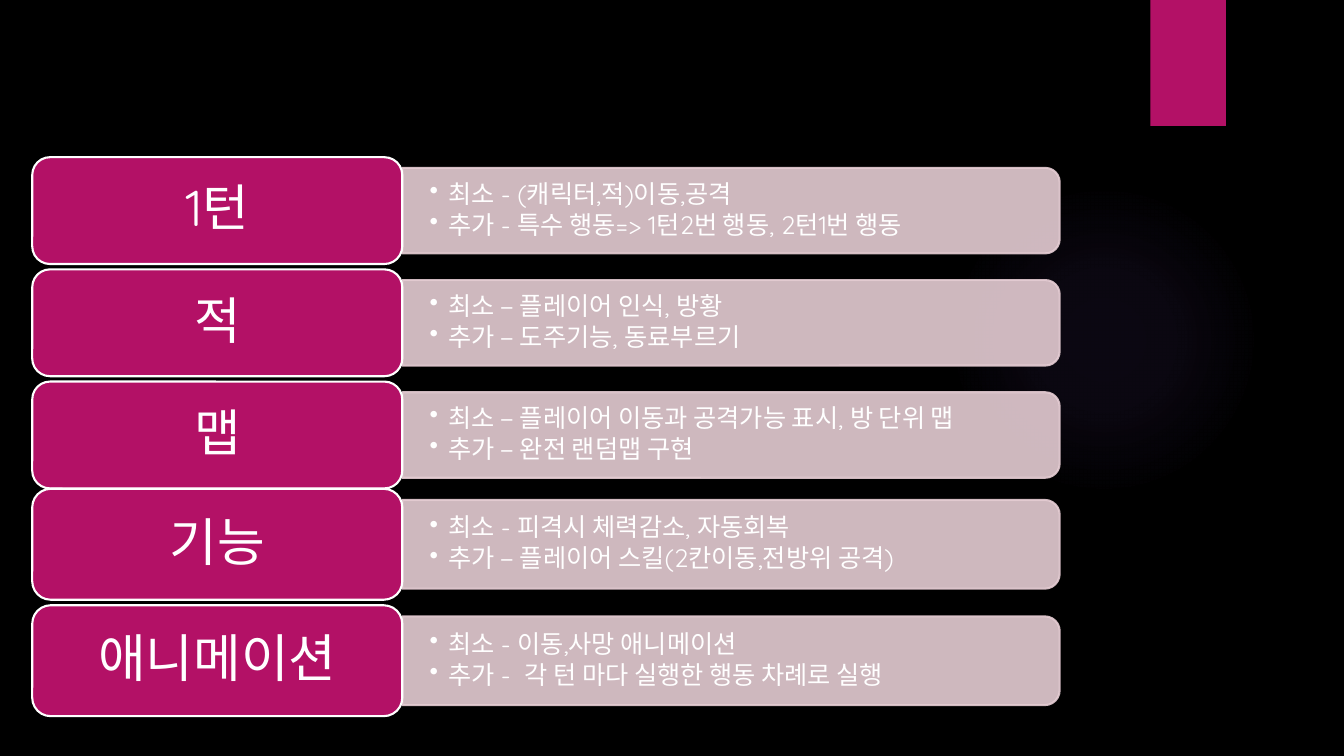
from pptx import Presentation
from pptx.dml.color import RGBColor
from pptx.enum.shapes import MSO_SHAPE as Shape
from pptx.enum.text import MSO_ANCHOR as Anchor, PP_ALIGN as Align
from pptx.oxml import parse_xml
from pptx.oxml.ns import nsdecls, qn
from pptx.util import Inches, Pt
from lxml import etree

# Content: (top, label height, label size, features), a feature being (label, details)
FEATURE_GROUPS = [
    (1.56, 1.06, 36, [
        ("1턴", ["최소 - (캐릭터,적)이동,공격",
                "추가 - 특수 행동=> 1턴2번 행동, 2턴1번 행동"]),
        ("적", ["최소 – 플레이어 인식, 방황",
               "추가 – 도주기능, 동료부르기"]),
        ("맵", ["최소 – 플레이어 이동과 공격가능 표시, 방 단위 맵",
               "추가 – 완전 랜덤맵 구현"]),
    ]),
    (4.85, 1.10, 37, [
        ("기능", ["최소 - 피격시 체력감소, 자동회복",
                "추가 – 플레이어 스킬(2칸이동,전방위 공격)"]),
        ("애니메이션", ["최소 - 이동,사망 애니메이션",
                   "추가 -  각 턴 마다 실행한 행동 차례로 실행"]),
    ]),
]

FONT = "Quicksand"
BLACK = RGBColor(0x00, 0x00, 0x00)
WHITE = RGBColor(0xFF, 0xFF, 0xFF)
MAGENTA = RGBColor(0xB3, 0x11, 0x66)
ROSE = RGBColor(0xE5, 0xCC, 0xD3)
GLOW = RGBColor(0x9B, 0x6B, 0xF2)
GLOW_STOPS = [(0, 7), (36, 6), (69, 0)]  # position %, opacity %

# Layout in inches
LABEL_LEFT, LABEL_WIDTH = 0.32, 3.67
BAR_LEFT, BAR_WIDTH = LABEL_LEFT + LABEL_WIDTH, 6.52
ROW_PITCH = 1.05   # of the label height
BAR_SHARE = 0.8    # of the label height
BULLET_INDENT = 0.19

deck = Presentation()
deck.slide_width, deck.slide_height = Inches(13.33), Inches(7.5)
slide = deck.slides.add_slide(deck.slide_layouts[6])
slide.background.fill.solid()
slide.background.fill.fore_color.rgb = BLACK


def add_block(kind, left, top, width, height, fill, line=None):
    block = slide.shapes.add_shape(
        kind, Inches(left), Inches(top), Inches(width), Inches(height))
    block.shadow.inherit = False
    block.fill.solid()
    block.fill.fore_color.rgb = fill
    if line is None:
        block.line.fill.background()
    else:
        block.line.color.rgb = line
        block.line.width = Pt(1.5)
    return block


def set_insets(frame, side, end):
    frame.word_wrap = True
    frame.vertical_anchor = Anchor.MIDDLE
    frame.margin_left = frame.margin_right = Inches(side)
    frame.margin_top = frame.margin_bottom = Inches(end)


def style_text(paragraph, size):
    paragraph.line_spacing = 0.9
    paragraph.font.name = FONT
    paragraph.font.size = Pt(size)
    paragraph.font.color.rgb = WHITE


def add_bar(top, height):
    # A shape rounded at its top, turned so the round end points right
    middle_x, middle_y = BAR_LEFT + BAR_WIDTH / 2, top + height / 2
    bar = add_block(Shape.ROUND_2_SAME_RECTANGLE, middle_x - height / 2,
                    middle_y - BAR_WIDTH / 2, height, BAR_WIDTH, ROSE, ROSE)
    bar.rotation = 90
    for color in bar._element.spPr.iter(qn("a:srgbClr")):
        etree.SubElement(color, qn("a:alpha"), val="90000")


def add_details(top, height, details):
    box = slide.shapes.add_textbox(Inches(BAR_LEFT), Inches(top),
                                   Inches(BAR_WIDTH - 0.04), Inches(height))
    frame = box.text_frame
    set_insets(frame, 0.27, 0.14)
    for index, detail in enumerate(details):
        paragraph = frame.paragraphs[0] if index == 0 else frame.add_paragraph()
        paragraph.text = detail
        properties = paragraph._p.get_or_add_pPr()
        properties.set("marL", str(Inches(BULLET_INDENT)))
        properties.set("indent", str(-Inches(BULLET_INDENT)))
        etree.SubElement(properties, qn("a:buChar"), char="•")
        paragraph.space_after = Pt(2.7)
        style_text(paragraph, 18)


def add_label(top, height, label, size):
    block = add_block(Shape.ROUNDED_RECTANGLE, LABEL_LEFT, top,
                      LABEL_WIDTH, height, MAGENTA, WHITE)
    set_insets(block.text_frame, 0.15, 0.07)
    paragraph = block.text_frame.paragraphs[0]
    paragraph.text = label
    paragraph.alignment = Align.CENTER
    style_text(paragraph, size)


# Background glow and corner tab
glow = add_block(Shape.OVAL, 9.41, 1.83, 3.08, 3.08, GLOW)
stops = "".join(
    f'<a:gs pos="{position * 1000}"><a:srgbClr val="{GLOW}">'
    f'<a:alpha val="{opacity * 1000}"/></a:srgbClr></a:gs>'
    for position, opacity in GLOW_STOPS)
gradient = parse_xml(
    f'<a:gradFill {nsdecls("a")}><a:gsLst>{stops}</a:gsLst><a:path path="circle">'
    '<a:fillToRect l="50000" t="50000" r="50000" b="50000"/></a:path></a:gradFill>')
glow_properties = glow._element.spPr
glow_properties.replace(glow_properties.find(qn("a:solidFill")), gradient)
add_block(Shape.RECTANGLE, 11.41, 0, 0.75, 1.25, MAGENTA)

# Feature rows
for group_top, label_height, label_size, features in FEATURE_GROUPS:
    bar_height = label_height * BAR_SHARE
    for row, (label, details) in enumerate(features):
        label_top = group_top + row * label_height * ROW_PITCH
        bar_top = label_top + (label_height - bar_height) / 2
        add_bar(bar_top, bar_height)
        add_details(bar_top, bar_height, details)
        add_label(label_top, label_height, label, label_size)

deck.save("out.pptx")
